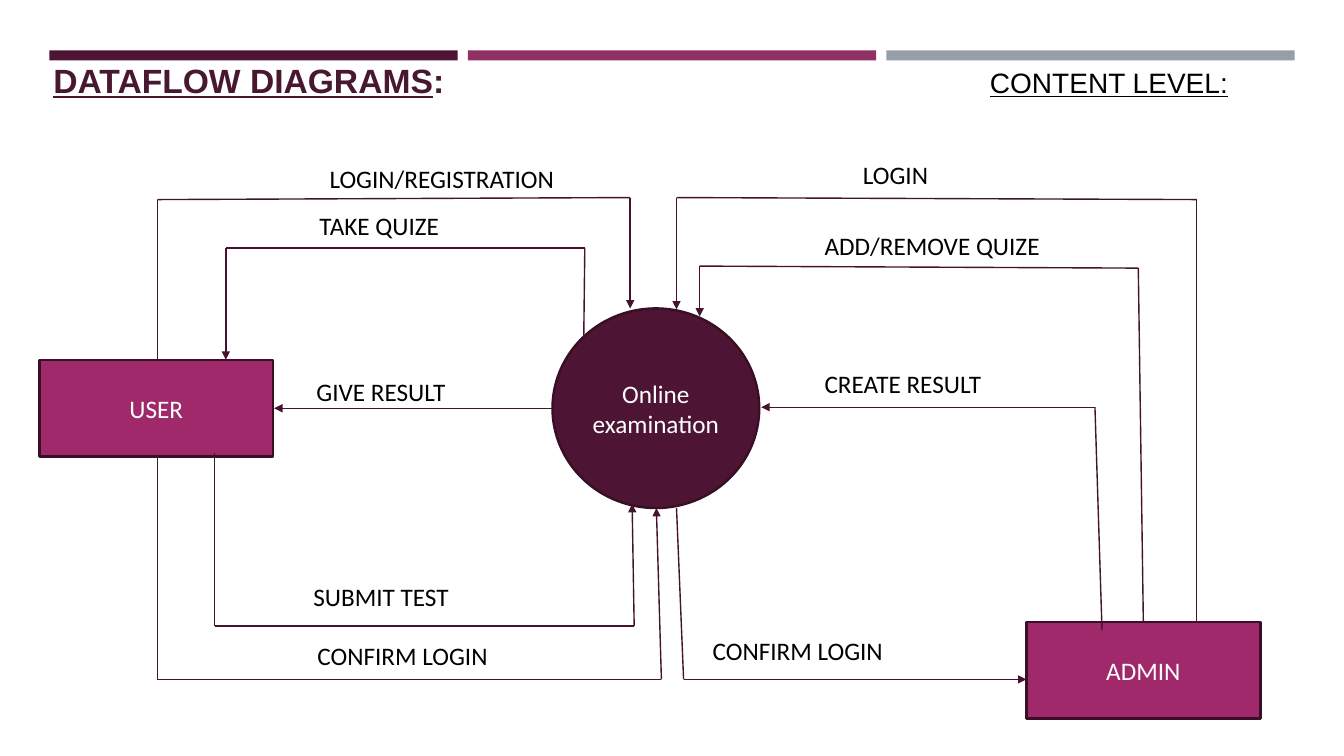
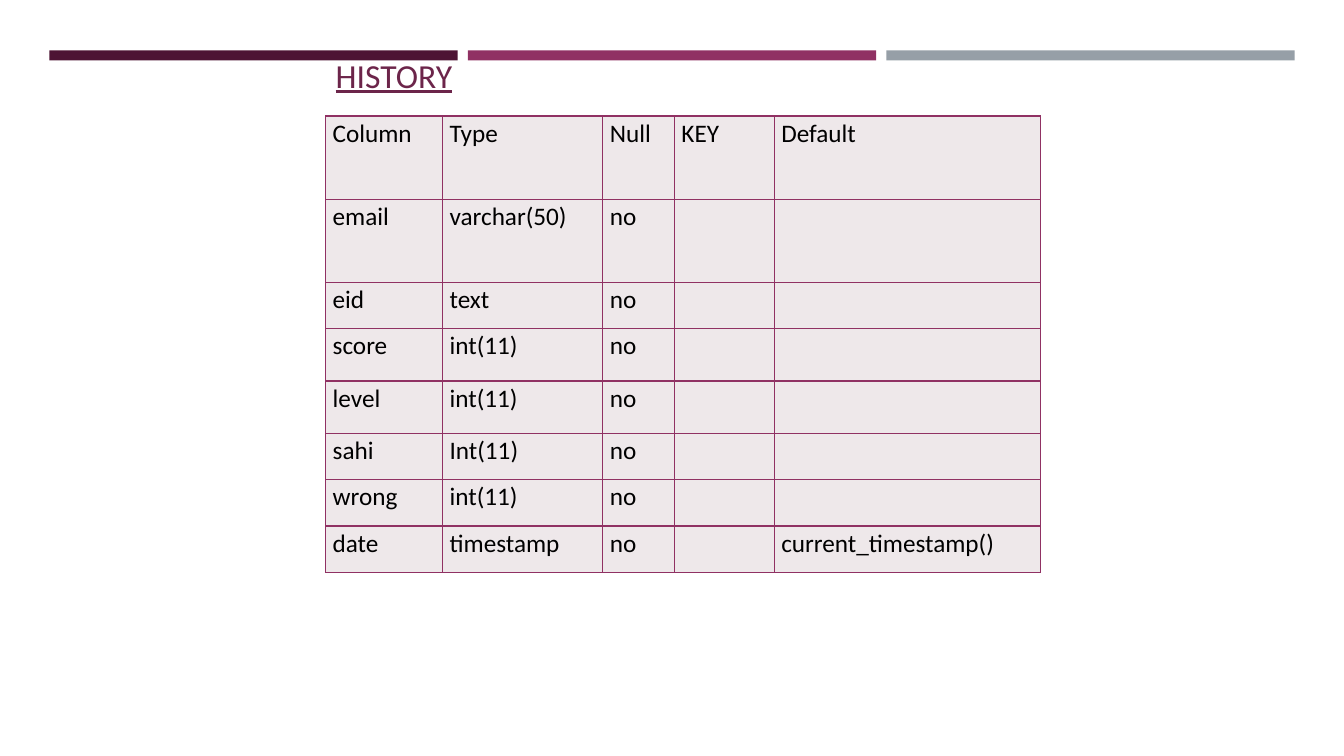
"""Builds a dataflow diagram slide and a table structure slide."""
import dataclasses
import itertools

import pptx
import pptx.dml.color
import pptx.enum.shapes
import pptx.enum.text
import pptx.oxml
import pptx.oxml.ns
import pptx.oxml.xmlchemy
import pptx.shapes.autoshape
import pptx.slide
import pptx.table
import pptx.text.text
import pptx.util

EMU_PER_PX = 9144
Point = tuple[int, int]
Frame = tuple[int, int, int, int]
Anchor = pptx.enum.text.MSO_ANCHOR
Align = pptx.enum.text.PP_ALIGN
Preset = pptx.enum.shapes.MSO_SHAPE


@dataclasses.dataclass(frozen=True)
class Theme:
    plum: str = "4D1434"
    berry: str = "903163"
    grey: str = "969FA7"
    node: str = "9F296B"
    outline: str = "390F26"
    flow: str = "45122F"
    cell: str = "EEE8EA"
    white: str = "FFFFFF"
    black: str = "000000"
    diagram_title: str = "481831"
    table_title: str = "6C254A"
    head_font: str = "Arial"
    body_font: str = "Calibri"
    title_size: int = 24
    level_size: int = 20
    body_size: int = 18
    outline_width: float = 1.75
    line_width: int = 1


THEME = Theme()


@dataclasses.dataclass(frozen=True)
class Span:
    text: str
    color: str = THEME.black
    size: int = THEME.body_size
    font: str = THEME.body_font
    bold: bool = False
    underline: bool = False


@dataclasses.dataclass(frozen=True)
class Node:
    preset: Preset
    frame: Frame
    lines: tuple[str, ...]
    fill: str


@dataclasses.dataclass(frozen=True)
class Label:
    left: int
    top: int
    span: Span
    width: int = 298
    height: int = 40


@dataclasses.dataclass(frozen=True)
class Flow:
    points: tuple[Point, ...]


BANDS = (THEME.plum, THEME.berry, THEME.grey)
BAND_LEFT, BAND_TOP, BAND_WIDTH, BAND_HEIGHT, BAND_STEP = 49, 50, 405, 10, 415

NODES = (
    Node(Preset.OVAL, (548, 306, 205, 198), ("Online", "examination"), THEME.plum),
    Node(Preset.RECTANGLE, (39, 357, 232, 96), ("USER",), THEME.node),
    Node(Preset.RECTANGLE, (1018, 617, 232, 96), ("ADMIN",), THEME.node),
)

FLOWS = (
    Flow(((548, 405), (272, 405))),
    Flow(((579, 335), (580, 246), (224, 246), (224, 357))),
    Flow(((156, 357), (156, 198), (625, 196), (625, 306))),
    Flow(((1187, 617), (1187, 198), (671, 196), (671, 307))),
    Flow(((1134, 617), (1129, 266), (694, 264), (694, 314))),
    Flow(((1093, 625), (1086, 404), (755, 404))),
    Flow(((671, 504), (678, 674), (1018, 674))),
    Flow(((213, 449), (213, 621), (629, 621), (627, 500))),
    Flow(((156, 453), (156, 674), (656, 674), (651, 504))),
)

LABELS = (
    Label(846, 153, Span("LOGIN"), 231),
    Label(808, 224, Span("ADD/REMOVE QUIZE")),
    Label(808, 361, Span("CREATE RESULT")),
    Label(697, 625, Span("CONFIRM LOGIN")),
    Label(301, 572, Span("SUBMIT TEST")),
    Label(304, 368, Span("GIVE RESULT")),
    Label(307, 204, Span("TAKE QUIZE")),
    Label(317, 157, Span("LOGIN/REGISTRATION")),
    Label(305, 630, Span("CONFIRM LOGIN")),
    Label(972, 60, Span("CONTENT LEVEL:", size=THEME.level_size,
                        font=THEME.head_font, underline=True), 324, 44),
)

COLUMN_WIDTHS = (116, 159, 71, 99, 264)
ROW_HEIGHTS = (83, 82, 46, 52, 52, 46, 46, 46)
HISTORY = (
    ("Column", "Type", "Null", "KEY", "Default"),
    ("email", "varchar(50)", "no", "", ""),
    ("eid", "text", "no", "", ""),
    ("score", "int(11)", "no", "", ""),
    ("level", "int(11)", "no", "", ""),
    ("sahi", "Int(11)", "no", "", ""),
    ("wrong", "int(11)", "no", "", ""),
    ("date", "timestamp", "no", "", "current_timestamp()"),
)


def px(length: int) -> pptx.util.Emu:
    """Turn a length in px into EMU."""
    return pptx.util.Emu(length * EMU_PER_PX)


def rgb(color: str) -> pptx.dml.color.RGBColor:
    """Turn a hex string into a colour."""
    return pptx.dml.color.RGBColor.from_string(color)


def add_span(para: pptx.text.text._Paragraph, span: Span) -> None:
    """Append one formatted run to a paragraph."""
    run = para.add_run()
    run.text = span.text
    run.font.name = span.font
    run.font.size = pptx.util.Pt(span.size)
    run.font.bold = span.bold
    run.font.underline = span.underline
    run.font.color.rgb = rgb(span.color)


def add_shape(page: pptx.slide.Slide, preset: Preset, frame: Frame,
              fill: str) -> pptx.shapes.autoshape.Shape:
    """Add a flat filled shape without an outline."""
    shape = page.shapes.add_shape(preset, *map(px, frame))
    shape.shadow.inherit = False
    shape.fill.solid()
    shape.fill.fore_color.rgb = rgb(fill)
    shape.line.fill.background()
    return shape


def add_bands(page: pptx.slide.Slide) -> None:
    """Draw the top bands and move them to the layout that the pages share."""
    layout_tree = page.slide_layout.shapes.element
    for index, color in enumerate(BANDS):
        frame = (BAND_LEFT + index * BAND_STEP, BAND_TOP, BAND_WIDTH, BAND_HEIGHT)
        band = add_shape(page, Preset.RECTANGLE, frame, color)
        band.element.nvSpPr.cNvPr.set("id", str(20 + index))
        layout_tree.append(band.element)


def set_title(page: pptx.slide.Slide, frame: Frame, spans: tuple[Span, ...]) -> None:
    """Place the title placeholder and fill it run by run."""
    title = page.shapes.title
    title.left, title.top, title.width, title.height = map(px, frame)
    text_frame = title.text_frame
    text_frame.auto_size = pptx.enum.text.MSO_AUTO_SIZE.NONE
    text_frame.word_wrap = False
    text_frame.vertical_anchor = Anchor.TOP
    para = text_frame.paragraphs[0]
    para.alignment = Align.LEFT
    for span in spans:
        add_span(para, span)


def add_node(page: pptx.slide.Slide, node: Node) -> None:
    """Draw an outlined node with centred text."""
    shape = add_shape(page, node.preset, node.frame, node.fill)
    shape.line.color.rgb = rgb(THEME.outline)
    shape.line.width = pptx.util.Pt(THEME.outline_width)
    text_frame = shape.text_frame
    text_frame.vertical_anchor = Anchor.MIDDLE
    for index, line in enumerate(node.lines):
        para = text_frame.add_paragraph() if index else text_frame.paragraphs[0]
        para.alignment = Align.CENTER
        add_span(para, Span(line, THEME.white))


def add_flow(page: pptx.slide.Slide, flow: Flow) -> None:
    """Draw a flow segment by segment, ending in an arrowhead."""
    for start, end in itertools.pairwise(flow.points):
        line = page.shapes.add_connector(
            pptx.enum.shapes.MSO_CONNECTOR.STRAIGHT, *map(px, start + end))
        line.line.color.rgb = rgb(THEME.flow)
        line.line.width = pptx.util.Pt(THEME.line_width)
        if end == flow.points[-1]:
            tail = pptx.oxml.xmlchemy.OxmlElement("a:tailEnd")
            tail.set("type", "triangle")
            line.line._get_or_add_ln().append(tail)
        line.element.spPr.append(pptx.oxml.xmlchemy.OxmlElement("a:effectLst"))


def add_label(page: pptx.slide.Slide, label: Label) -> None:
    """Write a label in a text box."""
    box = page.shapes.add_textbox(
        *map(px, (label.left, label.top, label.width, label.height)))
    box.text_frame.word_wrap = True
    add_span(box.text_frame.paragraphs[0], label.span)


def format_cell(cell: pptx.table._Cell, text: str) -> None:
    """Give a cell its borders, fill, margins and text."""
    properties = cell._tc.get_or_add_tcPr()
    for side in ("lnL", "lnR", "lnT", "lnB"):
        properties.append(pptx.oxml.parse_xml(
            f'<a:{side} {pptx.oxml.ns.nsdecls("a")} w="{pptx.util.Pt(THEME.line_width)}">'
            f'<a:solidFill><a:srgbClr val="{THEME.berry}"/></a:solidFill></a:{side}>'))
    cell.fill.solid()
    cell.fill.fore_color.rgb = rgb(THEME.cell)
    cell.margin_left = cell.margin_right = px(7)
    cell.margin_top = cell.margin_bottom = px(0)
    para = cell.text_frame.paragraphs[0]
    para.line_spacing = 1.07
    if text:
        add_span(para, Span(text))


def add_history(page: pptx.slide.Slide) -> None:
    """Draw the table of history columns."""
    table = page.shapes.add_table(
        len(ROW_HEIGHTS), len(COLUMN_WIDTHS), px(323), px(115),
        px(sum(COLUMN_WIDTHS)), px(sum(ROW_HEIGHTS))).table
    table.first_row = table.horz_banding = False
    for column, width in zip(table.columns, COLUMN_WIDTHS):
        column.width = px(width)
    for row, height, texts in zip(table.rows, ROW_HEIGHTS, HISTORY):
        row.height = px(height)
        for cell, text in zip(row.cells, texts):
            format_cell(cell, text)


def build_diagram(page: pptx.slide.Slide) -> None:
    """Fill the dataflow page."""
    heading = Span("DATAFLOW DIAGRAMS", THEME.diagram_title, THEME.title_size,
                   THEME.head_font, bold=True, underline=True)
    colon = dataclasses.replace(heading, text=":", underline=False)
    set_title(page, (43, 54, 412, 50), (heading, colon))
    for node in NODES:
        add_node(page, node)
    for flow in FLOWS:
        add_flow(page, flow)
    for label in LABELS:
        add_label(page, label)


def build_table(page: pptx.slide.Slide) -> None:
    """Fill the history page."""
    heading = Span("HISTORY", THEME.table_title, THEME.title_size, underline=True)
    set_title(page, (323, 49, 137, 50), (heading,))
    add_history(page)


def main() -> None:
    """Build and save the deck."""
    deck = pptx.Presentation()
    deck.slide_width, deck.slide_height = px(1333), px(750)
    layout = deck.slide_layouts.get_by_name("Title Only")
    diagram_page = deck.slides.add_slide(layout)
    add_bands(diagram_page)
    build_diagram(diagram_page)
    build_table(deck.slides.add_slide(layout))
    deck.save("out.pptx")


if __name__ == "__main__":
    main()
